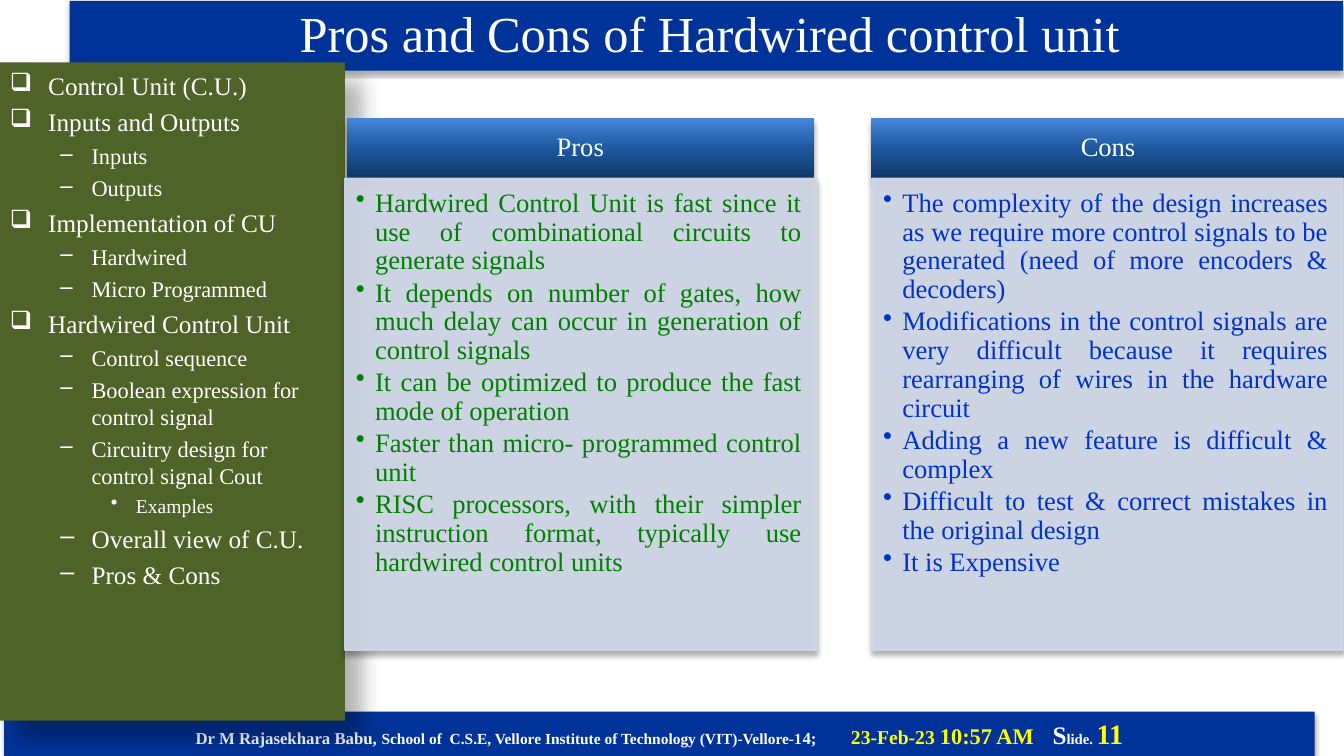
from lxml.etree import SubElement
from pptx import Presentation
from pptx.dml.color import RGBColor
from pptx.enum.shapes import MSO_SHAPE as Shape
from pptx.enum.text import MSO_ANCHOR as Anchor, PP_ALIGN as Align
from pptx.oxml.ns import qn
from pptx.util import Inches, Pt

COLORS = {
    "navy": "003399", "olive": "4F6228", "panel": "D0D8E8", "shadow": "000000",
    "white": "FFFFFF", "yellow": "FFFF00", "green": "008000", "blue": "0033CC",
}
GRADIENT = {0: "0F3766", 50: "1D59A1", 70: "2D6AB6", 100: "4786DB"}
# Shadow: opacity in percent, blur and distance in points, direction in degrees
BAND_SHADOW = (32, 3.5, 2.2, 90)
SIDEBAR_SHADOW = (30, 15, 18, 45)
PANEL_SHADOW = (35, 4, 3, 90)

# Outline levels: bullet, left margin, hanging indent
LEVELS = [("❑", 0.38, 0.38), ("–", 0.81, 0.31), ("•", 1.25, 0.25)]
OUTLINE = [
    (0, 18, "Control Unit (C.U.)"),
    (0, 18, "Inputs and Outputs"),
    (1, 16, "Inputs"),
    (1, 16, "Outputs"),
    (0, 18, "Implementation of CU"),
    (1, 16, "Hardwired"),
    (1, 16, "Micro Programmed"),
    (0, 18, "Hardwired Control Unit"),
    (1, 16, "Control sequence"),
    (1, 16, "Boolean expression for control signal"),
    (1, 16, "Circuitry design for control signal Cout"),
    (2, 14, "Examples"),
    (1, 18, "Overall view of C.U."),
    (1, 18, "Pros & Cons"),
]
FOOTER = [
    ("Dr M Rajasekhara Babu, ", 12, "white"),
    ("School of  C.S.E, Vellore Institute of Technology (VIT)-Vellore-1", 11, "white"),
    ("4; \t", 12, "white"),
    ("23-Feb-23 ", 14, "yellow"),
    ("10:57 AM  \t", 16, "yellow"),
    ("S", 18, "white"),
    ("lide. ", 10.5, "white"),
    ("11", 20, "yellow"),
]
# Heading, heading left and width, body left and width, text colour, points
COLUMNS = [
    ("Pros", 3.44, 4.63, 3.42, 4.68, "green", [
        "Hardwired Control Unit is fast since it use of combinational circuits to generate signals",
        "It depends on number of gates, how much delay can occur in generation of control signals",
        "It can be optimized to produce the fast mode of operation",
        "Faster than micro- programmed control unit",
        "RISC processors, with their simpler instruction format, typically use hardwired control units",
    ]),
    ("Cons", 8.64, 4.7, 8.65, 4.67, "blue", [
        "The complexity of the design increases as we require more control signals to be generated "
        "(need of more encoders & decoders)",
        "Modifications in the control signals are very difficult because it requires rearranging "
        "of wires in the hardware circuit",
        "Adding a new feature is difficult & complex",
        "Difficult to test & correct mistakes in the original design",
        "It is Expensive",
    ]),
]
HEADING_TOP, HEADING_HEIGHT, BODY_HEIGHT = 1.17, 0.6, 4.68

presentation = Presentation()
presentation.slide_width, presentation.slide_height = Inches(13.33), Inches(7.5)
slide = presentation.slides.add_slide(presentation.slide_layouts[5])


def add_block(left, top, width, height, color, shadow, insets=(0.1, 0.05, 0.1, 0.05)):
    """Add a borderless rectangle with an outer shadow and top-anchored text."""
    shape = slide.shapes.add_shape(
        Shape.RECTANGLE, Inches(left), Inches(top), Inches(width), Inches(height))
    shape.fill.solid()
    shape.fill.fore_color.rgb = RGBColor.from_string(COLORS[color])
    shape.line.fill.background()
    shape.shadow.inherit = False
    opacity, blur, distance, direction = shadow
    effects = shape._element.spPr.find(qn("a:effectLst"))
    outer = SubElement(effects, qn("a:outerShdw"), blurRad=str(Pt(blur)), dist=str(Pt(distance)),
                       dir=str(direction * 60000), algn="ctr", rotWithShape="0")
    shade = SubElement(outer, qn("a:srgbClr"), val=COLORS["shadow"])
    SubElement(shade, qn("a:alpha"), val=str(opacity * 1000))
    frame = shape.text_frame
    frame.word_wrap, frame.vertical_anchor = True, Anchor.TOP
    for side, inset in zip(("left", "top", "right", "bottom"), insets):
        setattr(frame, f"margin_{side}", Inches(inset))
    return shape


def write(frame, index, runs, bullet=None, bold=False, **formats):
    """Fill paragraph number index with (text, size, colour) runs."""
    paragraph = frame.add_paragraph() if index else frame.paragraphs[0]
    if bullet:
        character, margin, hanging = bullet
        properties = paragraph._p.get_or_add_pPr()
        properties.set("marL", str(Inches(margin)))
        properties.set("indent", str(-Inches(hanging)))
        SubElement(properties, qn("a:buChar"), char=character)
    for name, value in formats.items():
        setattr(paragraph, name, value)
    for text, size, color in runs:
        run = paragraph.add_run()
        run.text = text
        run.font.name, run.font.size, run.font.bold = "Times New Roman", Pt(size), bold
        run.font.color.rgb = RGBColor.from_string(COLORS[color])


# Bands and title
footer = add_block(0.04, 7.06, 13, 0.44, "navy", BAND_SHADOW)
write(footer.text_frame, 0, FOOTER, bold=True, alignment=Align.CENTER)
add_block(0.69, 0.01, 12.63, 0.69, "navy", BAND_SHADOW)

title = slide.shapes.title
title.left, title.top, title.width, title.height = map(Inches, (0.74, 0, 12.6, 0.65))
title.text_frame.vertical_anchor = Anchor.MIDDLE
write(title.text_frame, 0, [("Pros and Cons of Hardwired control unit", 36, "white")],
      alignment=Align.CENTER)
slide.shapes._spTree.append(title._element)

# Outline sidebar
sidebar = add_block(0, 0.62, 3.42, 6.53, "olive", SIDEBAR_SHADOW, (0.1, 0.08, 0.1, 0.05))
for index, (level, size, text) in enumerate(OUTLINE):
    write(sidebar.text_frame, index, [(text, size, "white")], LEVELS[level],
          alignment=Align.LEFT, level=level, space_before=Pt(0.24 * size if index else 0))

# Pros and cons columns
for heading, left, width, body_left, body_width, color, points in COLUMNS:
    header = add_block(left, HEADING_TOP, width, HEADING_HEIGHT, "navy", PANEL_SHADOW,
                       (0.15, 0.08, 0.15, 0.08))
    header.fill.gradient()
    header.fill.gradient_angle = 90
    stops = header._element.spPr.find(".//" + qn("a:gsLst"))
    stops.clear()
    for position, shade in GRADIENT.items():
        stop = SubElement(stops, qn("a:gs"), pos=str(position * 1000))
        SubElement(stop, qn("a:srgbClr"), val=shade)
    header.text_frame.vertical_anchor = Anchor.MIDDLE
    write(header.text_frame, 0, [(heading, 19, "white")],
          alignment=Align.CENTER, line_spacing=0.9)

    body = add_block(body_left, HEADING_TOP + HEADING_HEIGHT, body_width, BODY_HEIGHT,
                     "panel", PANEL_SHADOW, (0.11, 0.11, 0.15, 0.17))
    body.line.color.rgb = RGBColor.from_string(COLORS["panel"])
    body.line.width = Pt(1)
    for fill_color in body._element.spPr.iter(qn("a:solidFill")):
        SubElement(fill_color[0], qn("a:alpha"), val="90000")
    for index, point in enumerate(points):
        write(body.text_frame, index, [(point, 19, color)], ("•", 0.19, 0.19),
              alignment=Align.JUSTIFY, line_spacing=0.9, space_after=Pt(2.5))

presentation.save("out.pptx")
